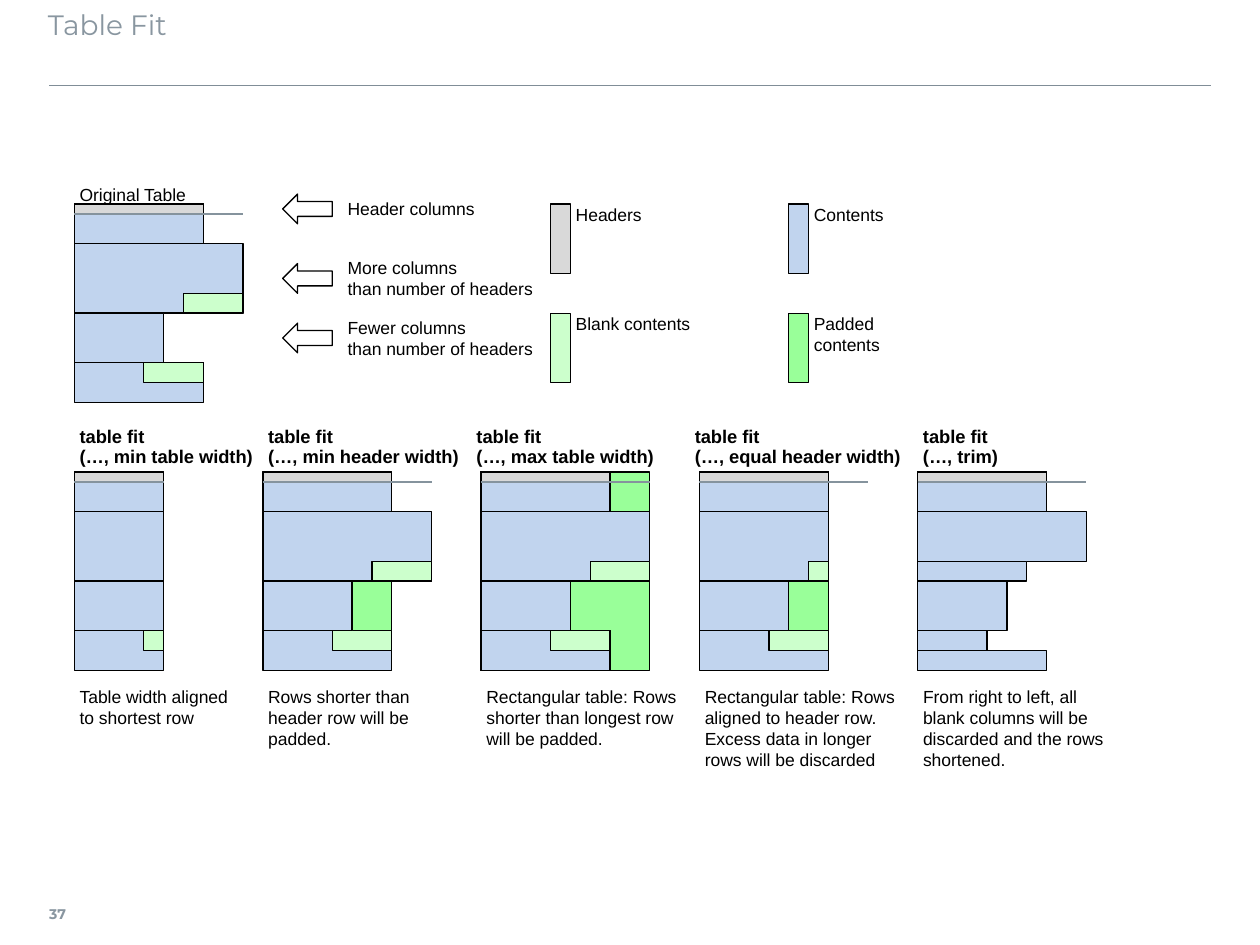
from lxml import etree
from pptx import Presentation
from pptx.dml.color import RGBColor
from pptx.enum.shapes import MSO_CONNECTOR, MSO_SHAPE
from pptx.enum.text import MSO_ANCHOR, MSO_AUTO_SIZE, PP_ALIGN
from pptx.oxml.ns import qn
from pptx.util import Pt

BLACK = RGBColor(0x00, 0x00, 0x00)
SLATE = RGBColor(0x89, 0x96, 0xA0)
RULE = RGBColor(0x80, 0x8D, 0x97)
HEADER_RULE = RGBColor(0x85, 0x93, 0x9D)
HEADER = RGBColor(0xD9, 0xD9, 0xD9)
CONTENT = RGBColor(0xC1, 0xD4, 0xEE)
BLANK = RGBColor(0xCC, 0xFF, 0xCC)
PADDED = RGBColor(0x99, 0xFF, 0x99)

UNIT = 5.67  # diagram grid step, 2 mm
LEFT, TOP = 42.5, 116.6  # grid origin


def grid(col, row, cols, rows):
    """Turn grid units into left, top, width and height in points."""
    return LEFT + col * UNIT, TOP + row * UNIT, cols * UNIT, rows * UNIT


class Slide:
    """Current slide and its style."""

    def __init__(self, prs):
        """Add a slide that has only a title."""
        self.s = prs.slides.add_slide(prs.slide_layouts[5])

    def fill_text(self, tf, lines, size, font="Arial", color=BLACK, bold=False,
                  spacing=None, insets=(3, 3, 3, 3), anchor=MSO_ANCHOR.TOP, wrap=False):
        """Fill a text frame with one paragraph per line."""
        tf.auto_size = MSO_AUTO_SIZE.NONE
        tf.word_wrap = wrap
        tf.vertical_anchor = anchor
        tf.margin_left, tf.margin_top, tf.margin_right, tf.margin_bottom = map(Pt, insets)
        for i, line in enumerate(lines):
            p = tf.add_paragraph() if i else tf.paragraphs[0]
            p.alignment = PP_ALIGN.LEFT
            if spacing:
                p.line_spacing = spacing
            r = p.add_run()
            r.text = line
            r.font.name, r.font.size, r.font.bold = font, Pt(size), bold
            r.font.color.rgb = color

    def title(self, text, x, y, w, h):
        """Place and format the title placeholder."""
        sp = self.s.shapes.title
        sp.left, sp.top, sp.width, sp.height = Pt(x), Pt(y), Pt(w), Pt(h)
        self.fill_text(sp.text_frame, [text], 16, "Montserrat", SLATE,
                       insets=(0, 3.6, 7.2, 3.6), wrap=True)

    def text(self, box, lines, size=10, **style):
        """Add a text box."""
        sp = self.s.shapes.add_textbox(*map(Pt, box))
        self.fill_text(sp.text_frame, lines, size, **style)

    def shape(self, box, fill=None, kind=MSO_SHAPE.RECTANGLE):
        """Add a thinly outlined shape, filled if a colour is given."""
        sp = self.s.shapes.add_shape(kind, *map(Pt, box))
        sp.shadow.inherit = False
        if fill is None:
            sp.fill.background()
        else:
            sp.fill.solid()
            sp.fill.fore_color.rgb = fill
        sp.line.color.rgb = BLACK
        sp.line.width = Pt(0.75)

    def line(self, x, y, length, color, width):
        """Add a horizontal line."""
        cn = self.s.shapes.add_connector(
            MSO_CONNECTOR.STRAIGHT, Pt(x), Pt(y), Pt(x + length), Pt(y))
        cn.line.color.rgb = color
        cn.line.width = Pt(width)
        etree.SubElement(cn._element.spPr, qn("a:effectLst"))

    def table_diagram(self, col, row, blocks, header, rule=17):
        """Draw coloured blocks, then the header bar and the rule below it."""
        for fill, x, y, w, h in blocks:
            self.shape(grid(col + x, row + y, w, h), fill)
        self.shape(grid(col, row, header, 1), HEADER)
        x, y, length, _ = grid(col, row + 1, rule, 0)
        self.line(x, y, length, HEADER_RULE, 0.75)


def contents(*widths):
    """Stack the four content rows with the given widths."""
    rows = ((0, 4), (4, 7), (11, 5), (16, 4))
    return [(CONTENT, 0, y, w, h) for w, (y, h) in zip(widths, rows)]


prs = Presentation()
prs.slide_width, prs.slide_height = Pt(720), Pt(540)
slide = Slide(prs)
slide.title("Table Fit", 27.4, 0.7, 663, 45.4)
slide.line(28.1, 48.8, 663.8, RULE, 1)
slide.text((28.1, 508.3, 25.2, 28.1), ["37"], 8, font="Montserrat", color=SLATE,
           bold=True, insets=(0, 3.6, 5.8, 3.6), anchor=MSO_ANCHOR.MIDDLE)

BLANKS = [(BLANK, 11, 9, 6, 2), (BLANK, 7, 16, 6, 2)]
PAD = (PADDED, 9, 11, 4, 5)

slide.text(grid(0, -2, 15, 2), ["Original Table"], anchor=MSO_ANCHOR.MIDDLE)
slide.table_diagram(0, 0, contents(13, 17, 9, 13) + BLANKS, 13)

# Arrow labels: row, lines
for row, lines in (
    (-2, ["Header columns"]),
    (5, ["More columns", "than number of headers"]),
    (11, ["Fewer columns", "than number of headers"]),
):
    slide.shape(grid(21, row + 1, 5, 3), kind=MSO_SHAPE.LEFT_ARROW)
    slide.text(grid(27, row, 24, 5), lines, insets=(3, 0, 3, 0),
               anchor=MSO_ANCHOR.MIDDLE)

# Legend: column, row, colour, lines
for col, row, fill, lines in (
    (48, 0, HEADER, ["Headers"]),
    (72, 0, CONTENT, ["Contents"]),
    (48, 11, BLANK, ["Blank contents"]),
    (72, 11, PADDED, ["Padded", "contents"]),
):
    slide.shape(grid(col, row, 2, 7), fill)
    slide.text(grid(col + 2, row, 13, 7), lines, insets=(3, 0, 3, 0))

# Fit modes: column, heading column, mode, blocks, header width, rule width, note
for col, heading, mode, blocks, header, rule, note in (
    (0, 0, "min table width",
     contents(9, 9, 9, 9) + [(BLANK, 7, 16, 2, 2)], 9, 9,
     ["Table width aligned", "to shortest row"]),
    (19, 19, "min header width",
     contents(13, 17, 9, 13) + BLANKS + [PAD], 13, 17,
     ["Rows shorter than", "header row will be", "padded."]),
    (41, 40, "max table width",
     [(PADDED, 0, 0, 17, 20)] + contents(13, 17, 9, 13) + BLANKS, 13, 17,
     ["Rectangular table: Rows", "shorter than longest row", "will be padded."]),
    (63, 62, "equal header width",
     contents(13, 13, 9, 13) + [(BLANK, 11, 9, 2, 2), BLANKS[1], PAD], 13, 17,
     ["Rectangular table: Rows", "aligned to header row.",
      "Excess data in longer", "rows will be discarded"]),
    (85, 85, "trim",
     [(CONTENT, 0, y, w, h) for y, w, h in (
         (0, 13, 4), (4, 17, 5), (9, 11, 2), (11, 9, 5), (16, 7, 2), (18, 13, 2))],
     13, 17,
     ["From right to left, all", "blank columns will be",
      "discarded and the rows", "shortened."]),
):
    slide.text(grid(heading, 22, 15, 5), ["table fit", f"(…, {mode})"], 10.5,
               bold=True, spacing=0.9)
    slide.table_diagram(col, 27, blocks, header, rule)
    slide.text(grid(col, 48, 23, 10), note)

prs.save("out.pptx")
